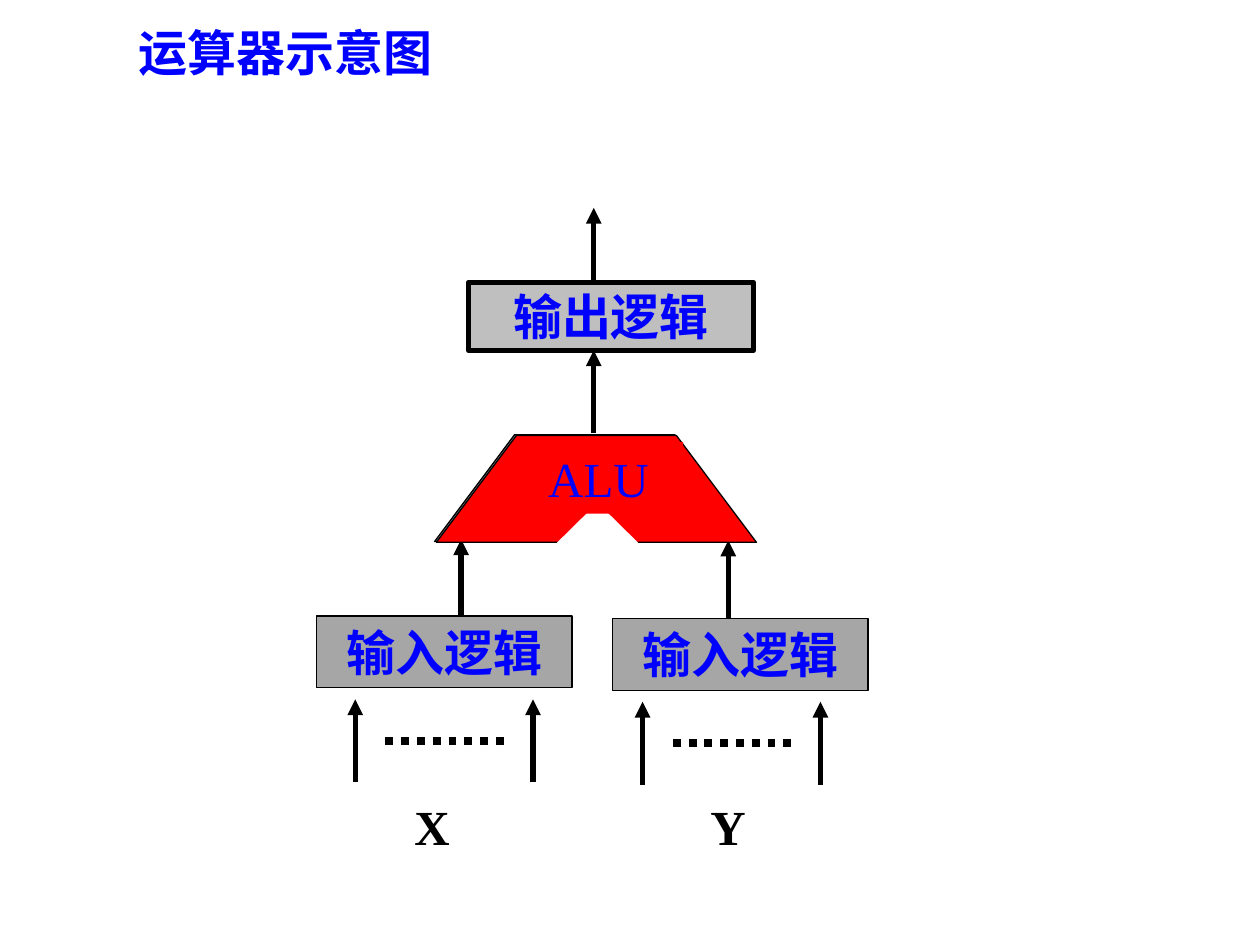
import pptx
import pptx.dml.color
import pptx.enum.dml
import pptx.enum.shapes
import pptx.enum.text
import pptx.oxml
import pptx.oxml.ns
import pptx.util

Pt = pptx.util.Pt
SHAPE = pptx.enum.shapes.MSO_SHAPE
ALIGN = pptx.enum.text.PP_ALIGN
ANCHOR = pptx.enum.text.MSO_ANCHOR
AUTO_SIZE = pptx.enum.text.MSO_AUTO_SIZE
COLORS = {"blue": "0000FF", "black": "000000", "red": "FF0000", "white": "FFFFFF",
          "output": "BFBFBF", "input": "A6A6A6", "shade": "808080"}
LATIN, CHINESE = "Times New Roman", "Noto Sans CJK SC"


def color(name):
    return pptx.dml.color.RGBColor.from_string(COLORS[name])


def add_xml(parent, tag, **attributes):
    element = pptx.oxml.parse_xml(f"<a:{tag} {pptx.oxml.ns.nsdecls('a')}/>")
    for key, value in attributes.items():
        element.set(key, value)
    parent.append(element)


def paint(shape, fill, line_width=None):
    shape.shadow.inherit = False
    shape.fill.solid()
    shape.fill.fore_color.rgb = color(fill)
    if line_width:
        shape.line.color.rgb = color("black")
        shape.line.width = Pt(line_width)
    else:
        shape.line.fill.background()


def write(shape, text, text_color="blue", bold=True, font_name=LATIN,
          align=ALIGN.LEFT, **frame_format):
    frame = shape.text_frame
    frame_values = {"word_wrap": True, "vertical_anchor": ANCHOR.TOP,
                    "auto_size": AUTO_SIZE.SHAPE_TO_FIT_TEXT} | frame_format
    for key, value in frame_values.items():
        setattr(frame, key, value)
    paragraph = frame.paragraphs[0]
    paragraph.alignment = align
    run = paragraph.add_run()
    run.text = text
    for key, value in {"name": font_name, "size": Pt(28), "bold": bold}.items():
        setattr(run.font, key, value)
    run.font.color.rgb = color(text_color)
    add_xml(run.font._element, "ea", typeface=CHINESE)


def add_box(slide, box, fill, line_width=None, kind=SHAPE.RECTANGLE):
    shape = slide.shapes.add_shape(kind, *map(Pt, box))
    paint(shape, fill, line_width)
    return shape


def add_label(slide, box, text, **text_format):
    write(slide.shapes.add_textbox(*map(Pt, box)), text, **text_format)


def add_line(slide, start, end, width):
    line = slide.shapes.add_connector(
        pptx.enum.shapes.MSO_CONNECTOR.STRAIGHT, *map(Pt, start + end))
    line.line.color.rgb = color("black")
    line.line.width = Pt(width)
    add_xml(line._element.spPr, "effectLst")
    return line


def add_up_arrow(slide, x, bottom, height=47.5):
    arrow = add_line(slide, (x, bottom), (x, bottom - height), 3)
    add_xml(arrow.line._get_or_add_ln(), "tailEnd", type="triangle")


def add_dots(slide, x, y):
    dots = add_line(slide, (x, y), (x + 69.8, y), 4.5)
    dots.line.dash_style = pptx.enum.dml.MSO_LINE.ROUND_DOT


def add_trapezoid(slide, left, top, fill):
    builder = slide.shapes.build_freeform(Pt(left), Pt(top + 61))
    corners = [(left + 45.7, top), (left + 137.2, top), (left + 182.9, top + 61)]
    builder.add_line_segments([(Pt(x), Pt(y)) for x, y in corners], close=True)
    paint(builder.convert_to_shape(), fill, 0.75)


def add_input(slide, label, box_left, arrow_left, drop):
    box = add_box(slide, (box_left, 352.1 + drop, 146.2, 41), "input", 0.75)
    write(box, "输入逻辑", align=ALIGN.CENTER)
    for x in (arrow_left, arrow_left + 101.6):
        add_up_arrow(slide, x, 447.1 + drop)
    add_dots(slide, arrow_left + 17.3, 423.4 + drop)
    add_label(slide, (box_left + 49, 451.4, 35.3, 41), label,
              text_color="black", word_wrap=False)


def main():
    presentation = pptx.Presentation()
    presentation.slide_width, presentation.slide_height = Pt(720), Pt(540)
    slide = presentation.slides.add_slide(presentation.slide_layouts[6])

    # Arrows from the inputs into the ALU
    add_up_arrow(slide, 263.5, 355.7)
    add_up_arrow(slide, 416.2, 356.4)

    # Output logic
    output = add_box(slide, (267.8, 161.3, 162.7, 38.9), "output", 3)
    write(output, "输出逻辑", align=ALIGN.CENTER, word_wrap=False,
          auto_size=AUTO_SIZE.NONE, vertical_anchor=ANCHOR.MIDDLE,
          margin_left=0, margin_right=0)
    add_up_arrow(slide, 339.3, 247.7)
    add_up_arrow(slide, 339.3, 161.3, 42.5)

    # Input logic with its operands
    add_input(slide, "X", 180.7, 203, 0)
    add_input(slide, "Y", 349.9, 367.2, 1.4)

    # ALU with its shaded edge and notch
    add_trapezoid(slide, 248.4, 248.4, "shade")
    add_trapezoid(slide, 249.4, 248.9, "red")
    add_box(slide, (316.6, 287.3, 49.7, 24.5), "white", kind=SHAPE.ISOSCELES_TRIANGLE)
    write(add_box(slide, (306.2, 252.5, 84.2, 41), "red"), "ALU", bold=False)

    # Title
    add_label(slide, (72, 9.4, 582.5, 41), "运算器示意图", font_name=CHINESE)

    presentation.save("out.pptx")


if __name__ == "__main__":
    main()
